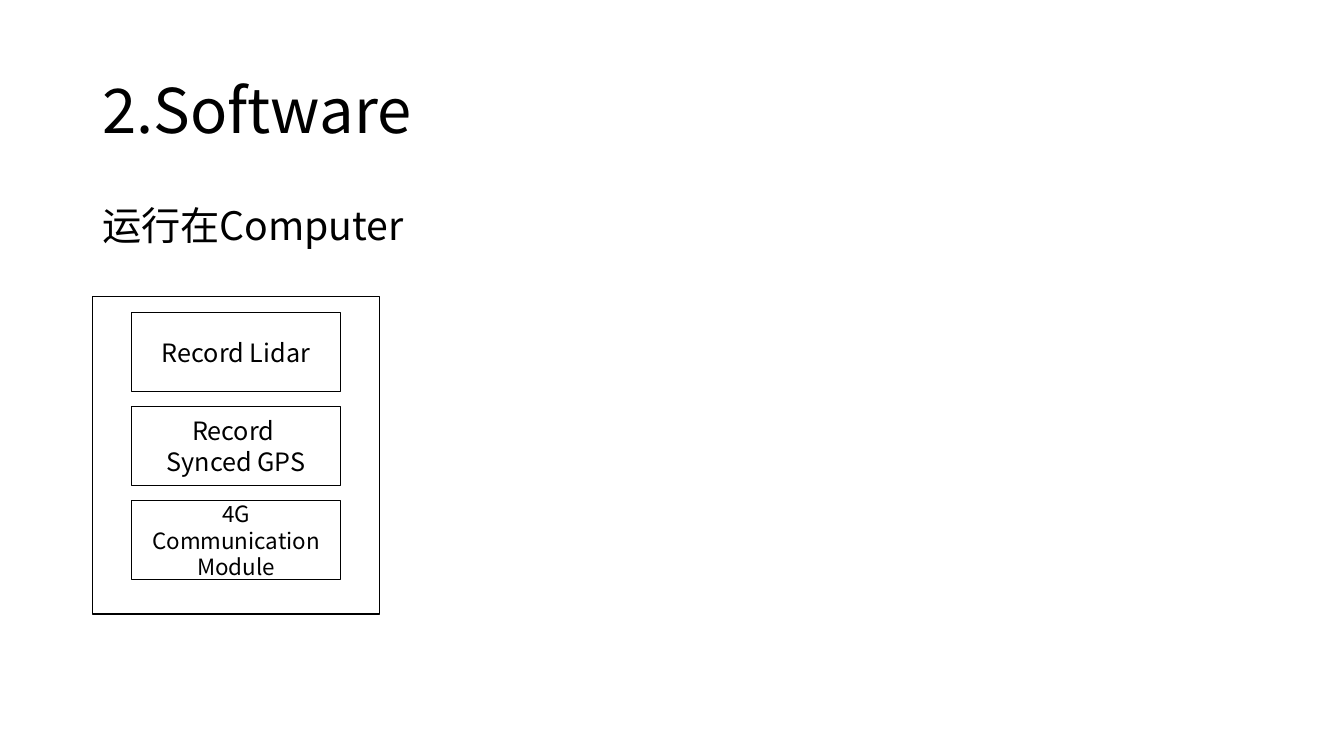
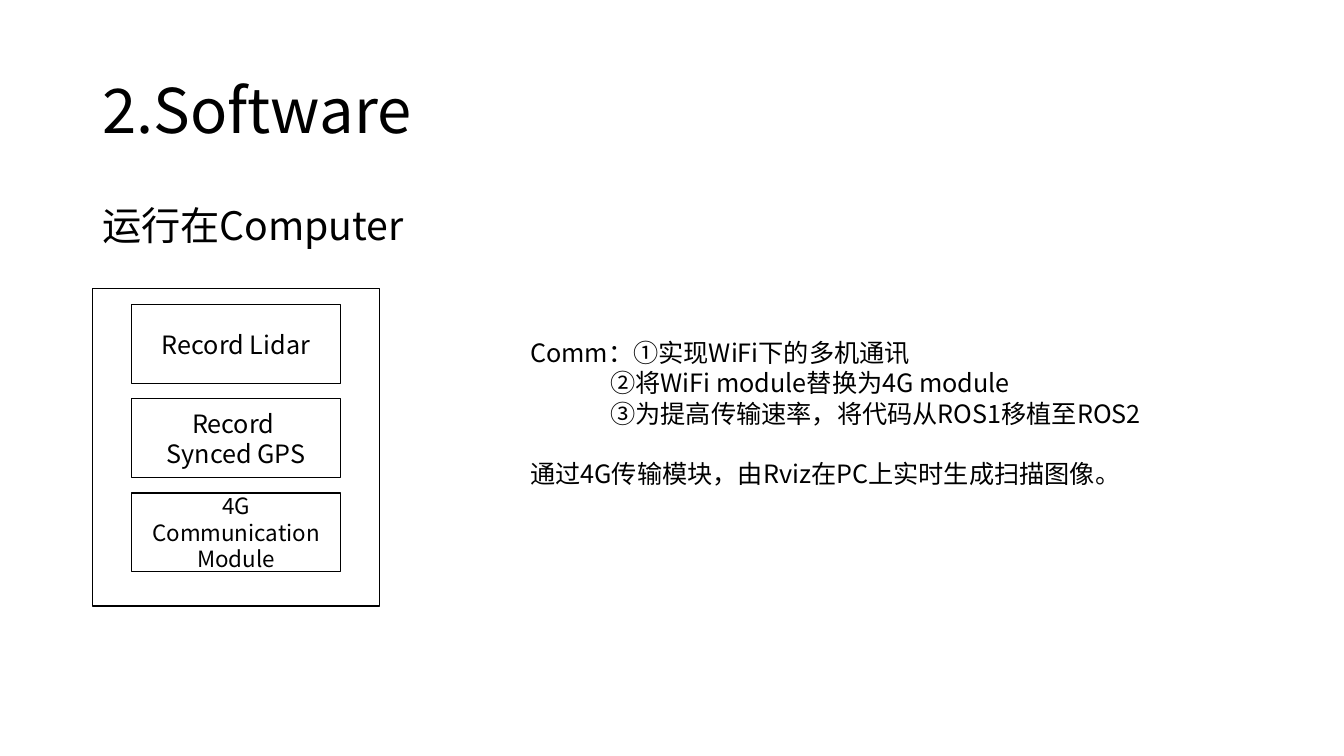
from lxml.etree import SubElement
from pptx import Presentation
from pptx.dml.color import RGBColor
from pptx.enum.shapes import MSO_SHAPE
from pptx.enum.text import MSO_ANCHOR as Anchor, PP_ALIGN as Align
from pptx.oxml.ns import qn
from pptx.util import Cm, Pt

FONT = "Noto Sans CJK SC"
BLACK = RGBColor(0x00, 0x00, 0x00)
WHITE = RGBColor(0xFF, 0xFF, 0xFF)

MARGIN = 2.33
CONTENT_WIDTH = 29.21
TITLE_BOX = (MARGIN, 1.02, CONTENT_WIDTH, 3.68)
BODY_BOX = (MARGIN, 5.08, CONTENT_WIDTH, 12.09)
NOTES_BOX = (13.11, 8.38, 16.15, 4.11)
PANEL_WIDTH, PANEL_HEIGHT = 7.24, 8.0
MODULE_WIDTH, MODULE_HEIGHT = 5.28, 1.98
MODULE_TOP, MODULE_PITCH = 0.41, 2.37

MODULES = [
    (["Record Lidar"], 18),
    (["Record ", "Synced GPS"], 18),
    (["4G", "Communication Module"], 16),
]
STEP_INDENT = 2.02
NOTES = [
    ("Comm：①实现WiFi下的多机通讯", 0, 0),
    ("②将WiFi module替换为4G module", STEP_INDENT, 0),
    ("③为提高传输速率，将代码从ROS1移植至ROS2", STEP_INDENT, 0),
    ("通过4G传输模块，由Rviz在PC上实时生成扫描图像。", 0, 21.5),
]


def add_run(paragraph, text, size):
    """Add a black run in the deck font, for Latin and East Asian text."""
    run = paragraph.add_run()
    run.text = text
    run.font.name = FONT
    run.font.size = Pt(size)
    run.font.color.rgb = BLACK
    SubElement(run.font._element, qn("a:ea")).set("typeface", FONT)


def add_paragraph(frame, index):
    """Return the first paragraph of a frame, or a new one after it."""
    return frame.paragraphs[0] if index == 0 else frame.add_paragraph()


def add_text_box(slide, box, anchor=Anchor.TOP):
    """Add an empty wrapping text box and return its frame."""
    frame = slide.shapes.add_textbox(*map(Cm, box)).text_frame
    frame.word_wrap = True
    frame.vertical_anchor = anchor
    return frame


def add_heading(slide, box, text, size, anchor=Anchor.TOP, space_before=0):
    """Add a one-line heading with tight line spacing."""
    paragraph = add_text_box(slide, box, anchor).paragraphs[0]
    paragraph.line_spacing = 0.9
    paragraph.space_before = Pt(space_before)
    add_run(paragraph, text, size)


def add_frame(slide, box):
    """Add a white rectangle with a thin black outline."""
    shape = slide.shapes.add_shape(MSO_SHAPE.RECTANGLE, *map(Cm, box))
    shape.shadow.inherit = False
    shape.fill.solid()
    shape.fill.fore_color.rgb = WHITE
    shape.line.color.rgb = BLACK
    shape.line.width = Pt(1)
    return shape


def add_module(slide, box, lines, size):
    """Add one labelled module box."""
    frame = add_frame(slide, box).text_frame
    frame.word_wrap = True
    frame.vertical_anchor = Anchor.MIDDLE
    for index, line in enumerate(lines):
        paragraph = add_paragraph(frame, index)
        paragraph.alignment = Align.CENTER
        add_run(paragraph, line, size)


def add_module_panel(slide, left, top):
    """Add the outer panel and its evenly stacked modules."""
    add_frame(slide, (left, top, PANEL_WIDTH, PANEL_HEIGHT))
    module_left = left + (PANEL_WIDTH - MODULE_WIDTH) / 2
    for row, (lines, size) in enumerate(MODULES):
        module_top = top + MODULE_TOP + row * MODULE_PITCH
        add_module(slide, (module_left, module_top, MODULE_WIDTH, MODULE_HEIGHT), lines, size)


def add_notes(slide, box):
    """Add the communication notes with first-line indents."""
    frame = add_text_box(slide, box)
    for index, (text, indent, space_before) in enumerate(NOTES):
        paragraph = add_paragraph(frame, index)
        paragraph.space_before = Pt(space_before)
        properties = paragraph._p.get_or_add_pPr()
        properties.set("marL", "0")
        properties.set("indent", str(Cm(indent)))
        add_run(paragraph, text, 18)


def add_software_slide(presentation, panel_top):
    """Add a slide with the title, the heading and the module panel."""
    slide = presentation.slides.add_slide(presentation.slide_layouts[6])
    add_heading(slide, TITLE_BOX, "2.Software", 44, anchor=Anchor.MIDDLE)
    add_heading(slide, BODY_BOX, "运行在Computer", 28, space_before=10)
    add_module_panel(slide, MARGIN, panel_top)
    return slide


def main():
    """Build and save the presentation."""
    presentation = Presentation()
    presentation.slide_width = Cm(33.87)
    presentation.slide_height = Cm(19.05)
    add_software_slide(presentation, 7.47)
    add_notes(add_software_slide(presentation, 7.27), NOTES_BOX)
    presentation.save("out.pptx")


if __name__ == "__main__":
    main()
